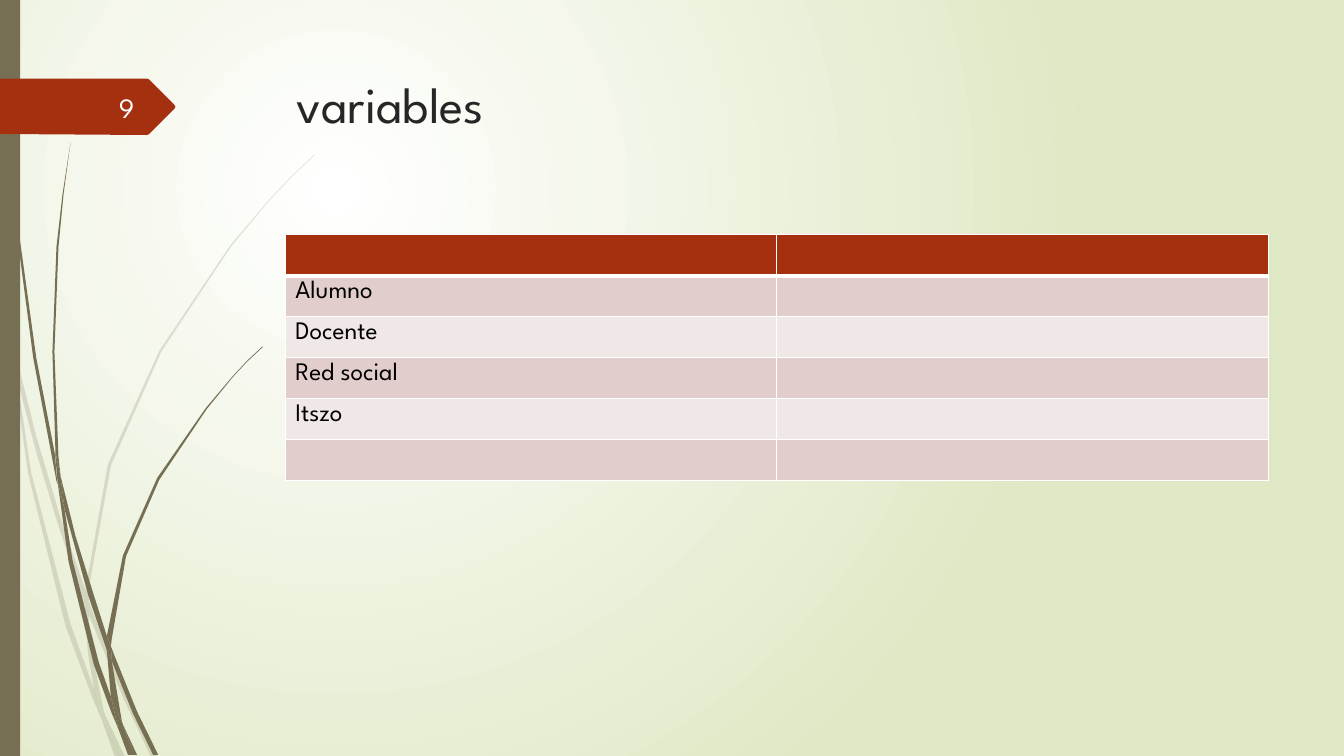
from lxml import etree
from pptx import Presentation
from pptx.dml.color import RGBColor
from pptx.enum.shapes import MSO_SHAPE
from pptx.enum.text import MSO_ANCHOR, PP_ALIGN
from pptx.oxml.ns import qn
from pptx.util import Pt

RECTANGLE = MSO_SHAPE.RECTANGLE
TOP, MIDDLE = MSO_ANCHOR.TOP, MSO_ANCHOR.MIDDLE
LEFT, RIGHT = PP_ALIGN.LEFT, PP_ALIGN.RIGHT

PX = 9144  # 100 px to the inch
FONT = "League Spartan"
TITLE_ONLY = 5

WHITE = RGBColor(0xFF, 0xFF, 0xFF)
NUMBER_WHITE = RGBColor(0xFE, 0xFF, 0xFF)
BLACK = RGBColor(0x00, 0x00, 0x00)
CHARCOAL = RGBColor(0x26, 0x26, 0x26)
SAGE = RGBColor(0xDF, 0xE8, 0xC4)
OLIVE = RGBColor(0x76, 0x6F, 0x54)
RUST = RGBColor(0xA5, 0x30, 0x10)
ROSE = RGBColor(0xE1, 0xCD, 0xCC)
PALE_ROSE = RGBColor(0xF0, 0xE8, 0xE7)

ROWS = ["", "Alumno", "Docente", "Red social", "Itszo", ""]

PALE_GRASS = [
    [(11, 350), (9, 322), (0, 282), (0, 299), (10, 344)],
    [(58, 522), (84, 599), (85, 586), (62, 520), (36, 433), (14, 345), (17, 376), (36, 449)],
    [(92, 607), (88, 596), (88, 610), (123, 694), (150, 751), (155, 751), (127, 692)],
    [(119, 751), (124, 751), (105, 711)],
    [(93, 683), (70, 619), (31, 469), (17, 376), (11, 350), (28, 470), (65, 621), (92, 693),
     (101, 714), (99, 707)],
    [(84, 599), (87, 646), (93, 683), (96, 692), (105, 711), (103, 706), (91, 646), (88, 610),
     (88, 608)],
    [(88, 584), (110, 462), (160, 349), (229, 245), (268, 198), (290, 175), (312, 154),
     (312, 153), (289, 175), (268, 197), (228, 244), (158, 348), (107, 461), (85, 584),
     (85, 586), (88, 596)],
    [(101, 714), (114, 751), (119, 751)],
    [(88, 608), (88, 610), (88, 596), (85, 586), (84, 599)],
    [(96, 692), (93, 683), (99, 707), (101, 714), (119, 751), (105, 711)],
]
DARK_GRASS = [
    [(7, 110), (17, 233), (33, 355), (56, 477), (57, 481), (55, 457), (55, 453), (36, 355),
     (19, 232), (8, 109), (5, 48), (4, 0), (3, 0), (4, 48)],
    [(88, 592), (106, 645), (106, 633), (106, 631), (93, 590), (75, 532), (60, 472), (64, 505)],
    [(113, 649), (110, 641), (111, 656), (132, 708), (152, 749), (157, 749), (136, 706)],
    [(110, 691), (98, 657), (72, 556), (64, 505), (57, 477), (68, 557), (93, 659), (111, 708),
     (117, 722), (116, 717)],
    [(60, 472), (58, 453), (54, 349), (58, 245), (63, 193), (70, 141), (62, 193), (56, 245),
     (52, 349), (55, 449)],
    [(133, 749), (136, 749), (122, 719)],
    [(57, 477), (64, 505), (60, 472), (55, 449), (55, 453)],
    [(111, 633), (125, 552), (158, 476), (205, 406), (231, 374), (245, 359), (261, 344),
     (260, 344), (245, 358), (231, 373), (204, 405), (156, 474), (122, 551), (106, 631),
     (110, 641)],
    [(117, 722), (127, 749), (131, 749)],
    [(106, 645), (110, 691), (116, 706), (122, 719), (121, 716), (111, 656), (109, 651)],
    [(106, 645), (109, 651), (111, 656), (110, 641), (106, 631), (106, 633)],
    [(116, 706), (110, 691), (116, 717), (117, 722), (130, 749), (133, 749), (122, 719)],
]
NUMBER_ARROW = [(173, 108), (148, 133), (146, 134), (0, 133), (0, 78), (146, 78), (148, 79),
                (173, 104), (174, 106)]


def px(*lengths):
    return [length * PX for length in lengths]


def paint(shape, color):
    """Fill a shape flat, without outline or shadow."""
    shape.fill.solid()
    shape.fill.fore_color.rgb = color
    shape.line.fill.background()
    shape.shadow.inherit = False


def add_outline(shapes, points, color):
    builder = shapes.build_freeform(*points[0], scale=PX)
    builder.add_line_segments(points[1:], close=True)
    shape = builder.convert_to_shape()
    paint(shape, color)
    return shape


def add_grass(slide, blades, opacity=100):
    group = slide.shapes.add_group_shape()
    for points in blades:
        blade = add_outline(group.shapes, points, OLIVE)
        if opacity < 100:
            color = blade.fill._xPr.find(qn("a:solidFill"))[0]
            etree.SubElement(color, qn("a:alpha"), val=str(opacity * 1000))


def set_background(slide):
    """Radial gradient centred a quarter of the way in from the top left."""
    fill = slide.background.fill
    fill.gradient()
    for stop, color in zip(fill.gradient_stops, (WHITE, SAGE)):
        stop.color.rgb = color
    linear = next(slide._element.iter(qn("a:lin")))
    radial = etree.Element(qn("a:path"), {"path": "circle"})
    etree.SubElement(radial, qn("a:fillToRect"), l="50000", t="50000", r="100000", b="100000")
    linear.getparent().replace(linear, radial)


def write(frame, text, size, color, alignment=LEFT):
    paragraph = frame.paragraphs[0]
    paragraph.alignment = alignment
    run = paragraph.add_run()
    run.text = text
    run.font.name = FONT
    run.font.size = Pt(size)
    run.font.color.rgb = color


def set_title(slide, text):
    title = slide.shapes.title
    title.left, title.top, title.width, title.height = px(284, 68, 975, 140)
    title.text_frame.vertical_anchor = TOP
    write(title.text_frame, text, 36, CHARCOAL)
    slide.shapes._spTree.append(title._element)


def add_slide_number(slide, text):
    box = slide.shapes.add_textbox(*px(58, 86, 85, 40))
    box.text_frame.word_wrap = True
    box.text_frame.vertical_anchor = MIDDLE
    write(box.text_frame, text, 20, NUMBER_WHITE, RIGHT)


def set_borders(cell, top, bottom):
    """White borders; top and bottom widths in points, sides one point."""
    properties = cell._tc.get_or_add_tcPr()
    widths = {"a:lnL": 1, "a:lnR": 1, "a:lnT": top, "a:lnB": bottom}
    for index, (tag, width) in enumerate(widths.items()):
        line = etree.Element(qn(tag), w=str(Pt(width)))
        fill = etree.SubElement(line, qn("a:solidFill"))
        etree.SubElement(fill, qn("a:srgbClr"), val=str(WHITE))
        properties.insert(index, line)


def add_variables_table(slide):
    left, top, width, height = px(283, 233, 975, 243)
    table = slide.shapes.add_table(len(ROWS), 2, left, top, width, height).table
    table.horz_banding = False
    for index, text in enumerate(ROWS):
        table.rows[index].height = height // len(ROWS)
        color = RUST if index == 0 else (PALE_ROSE, ROSE)[index % 2]
        for cell in table.rows[index].cells:
            cell.fill.solid()
            cell.fill.fore_color.rgb = color
            set_borders(cell, 3 if index == 1 else 1, 3 if index == 0 else 1)
        if text:
            write(table.cell(index, 0).text_frame, text, 18, BLACK)


def main():
    presentation = Presentation()
    presentation.slide_width, presentation.slide_height = px(1333, 750)
    slide = presentation.slides.add_slide(presentation.slide_layouts[TITLE_ONLY])
    set_background(slide)
    add_grass(slide, PALE_GRASS, opacity=20)
    add_grass(slide, DARK_GRASS)
    paint(slide.shapes.add_shape(RECTANGLE, *px(0, 0, 20, 750)), OLIVE)
    add_outline(slide.shapes, NUMBER_ARROW, RUST)
    set_title(slide, "variables")
    add_variables_table(slide)
    add_slide_number(slide, "9")
    presentation.save("out.pptx")


if __name__ == "__main__":
    main()
